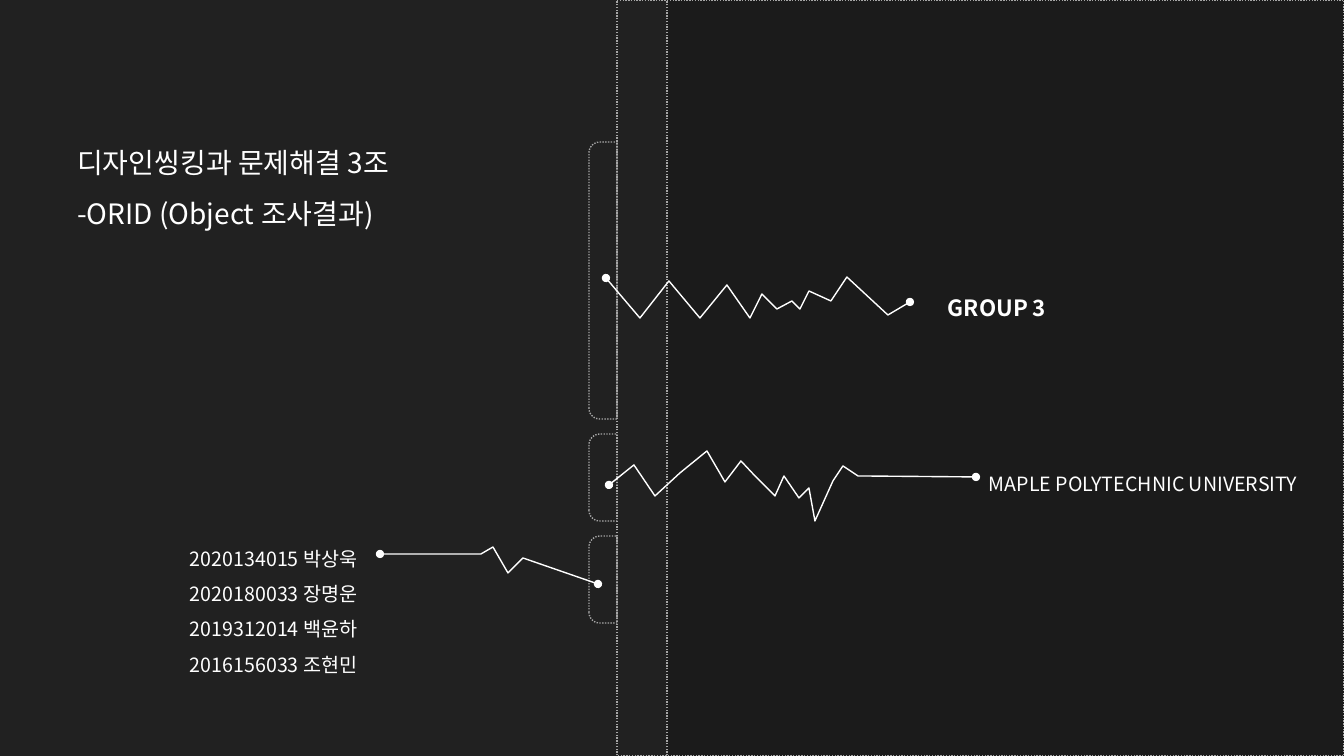
from pptx import Presentation
from pptx.dml.color import RGBColor
from pptx.enum.dml import MSO_LINE
from pptx.enum.shapes import MSO_SHAPE as SHAPE
from pptx.enum.text import MSO_ANCHOR, MSO_AUTO_SIZE, PP_ALIGN
from pptx.oxml.ns import qn
from pptx.util import Pt
from lxml.etree import SubElement

PX = 914400 / 100.8
W, H = 1344, 756
FONT = "Noto Sans CJK KR"
COLORS = {"back": "212121", "cover": "1B1B1B", "dots": "A6A6A6", "white": "FFFFFF"}

GROUP_WAVE = [(0, 1), (34, 41), (63, 4), (94, 41), (121, 8), (144, 41), (156, 17),
              (171, 32), (186, 24), (194, 32), (203, 14), (225, 24), (241, 0),
              (282, 38), (304, 25)]
SCHOOL_WAVE = [(0, 34), (25, 14), (46, 45), (71, 22), (98, 0), (116, 31), (132, 10),
               (147, 26), (166, 45), (175, 25), (190, 47), (200, 37), (206, 70),
               (224, 30), (234, 15), (249, 25), (367, 26)]
MEMBER_WAVE = [(0, 7), (101, 7), (113, 0), (128, 26), (143, 11), (218, 37)]
MEMBERS = ["2020134015 박상욱", "2020180033 장명운",
           "2019312014 백윤하", "2016156033 조현민"]


def emu(*pixels):
    """Turn pixel lengths into EMU."""
    return [round(v * PX) for v in pixels]


def rgb(name):
    """Look up a colour by its role."""
    return RGBColor.from_string(COLORS[name])


def write(tf, lines, size, bold=False, wrap=True):
    """Fill a text frame with left-aligned white lines."""
    tf.auto_size = MSO_AUTO_SIZE.NONE
    tf.word_wrap = wrap
    tf.vertical_anchor = MSO_ANCHOR.TOP
    for i, line in enumerate(lines):
        p = tf.add_paragraph() if i else tf.paragraphs[0]
        p.alignment = PP_ALIGN.LEFT
        p.line_spacing = 1.5
        p.space_before = Pt(0)
        r = p.add_run()
        r.text = line
        r.font.size, r.font.bold, r.font.name = Pt(size), bold, FONT
        r.font.color.rgb = rgb("white")
        SubElement(r.font._element, qn("a:ea"), typeface=FONT)


def title(s, box, lines):
    """Place the slide title in its placeholder."""
    sp = s.shapes.title
    sp.left, sp.top, sp.width, sp.height = emu(*box)
    write(sp.text_frame, lines, 20)


def label(s, box, lines, size, **style):
    """Add a text box."""
    write(s.shapes.add_textbox(*emu(*box)).text_frame, lines, size, **style)


def dotted(s, kind, box, fill=None):
    """Add a shape with a dotted outline."""
    sp = s.shapes.add_shape(kind, *emu(*box))
    sp.shadow.inherit = False
    if fill:
        sp.fill.solid()
        sp.fill.fore_color.rgb = rgb(fill)
    else:
        sp.fill.background()
    sp.line.color.rgb = rgb("dots")
    sp.line.width = Pt(1)
    sp.line.dash_style = MSO_LINE.ROUND_DOT
    return sp


def notebook(s, box, spine=50, tab=28, gap=15):
    """Draw the spine, the index tabs on its left edge and the cover."""
    x, y, w, h = box
    dotted(s, SHAPE.RECTANGLE, box, "back")
    top = y + 142
    for length in (277, 87, 87):
        left = x - (tab + length) / 2
        sp = dotted(s, SHAPE.ROUND_2_SAME_RECTANGLE,
                    (left, top + (length - tab) / 2, length, tab))
        sp.rotation = 270
        sp.adjustments[0] = 0.385
        top += length + gap
    dotted(s, SHAPE.RECTANGLE, (x + spine, y, w - spine, h), "cover")


def wave(s, corner, points):
    """Draw a zigzag with round ends, its points relative to the corner."""
    x, y = corner
    first, *rest = [(x + dx, y + dy) for dx, dy in points]
    builder = s.shapes.build_freeform(*first, scale=PX)
    builder.add_line_segments(rest, close=False)
    sp = builder.convert_to_shape()
    sp.shadow.inherit = False
    sp.fill.background()
    sp.line.color.rgb = rgb("white")
    sp.line.width = Pt(1)
    ln = sp.line._get_or_add_ln()
    for end in ("a:headEnd", "a:tailEnd"):
        SubElement(ln, qn(end), type="oval")


prs = Presentation()
prs.slide_width, prs.slide_height = emu(W, H)
s = prs.slides.add_slide(prs.slide_layouts[5])
s.background.fill.solid()
s.background.fill.fore_color.rgb = rgb("back")

title(s, (67, 124, 458, 106), ["디자인씽킹과 문제해결\u00a03조", "-ORID (Object 조사결과)"])
notebook(s, (617, 0, W - 617, H))
wave(s, (606, 277), GROUP_WAVE)
label(s, (938, 276, 128, 45), ["GROUP 3"], 16, bold=True)
wave(s, (609, 451), SCHOOL_WAVE)
label(s, (979, 455, 331, 41), ["MAPLE POLYTECHNIC UNIVERSITY"], 14, wrap=False)
wave(s, (380, 547), MEMBER_WAVE)
label(s, (180, 530, 197, 148), MEMBERS, 14, wrap=False)

prs.save("out.pptx")
